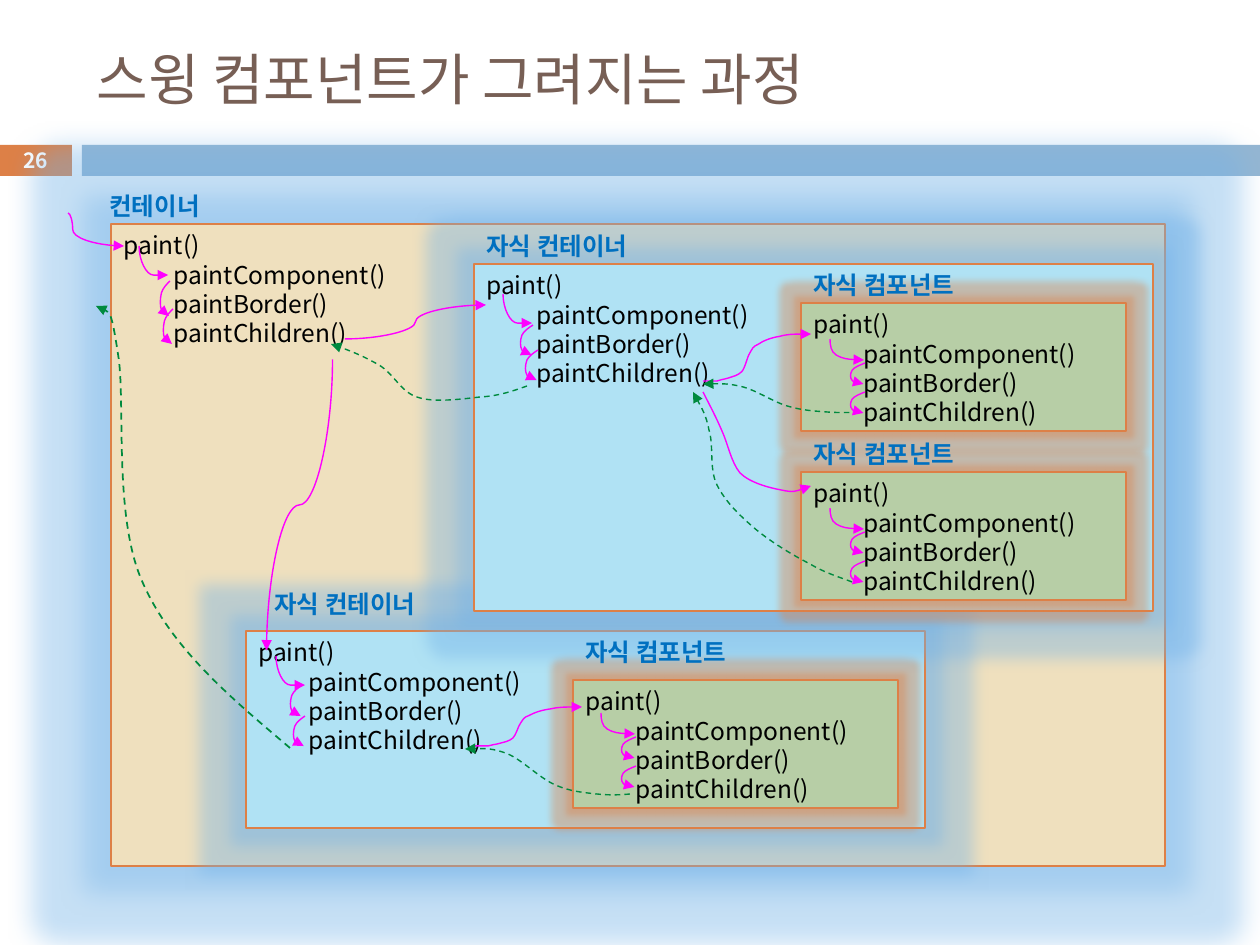
"""Builds the slide that explains the order in which Swing components are painted."""
from lxml.etree import SubElement
from pptx import Presentation
from pptx.dml.color import RGBColor
from pptx.enum.dml import MSO_LINE
from pptx.enum.shapes import MSO_CONNECTOR as Connector, MSO_SHAPE as Shape
from pptx.enum.text import MSO_ANCHOR as Anchor, PP_ALIGN as Align
from pptx.oxml.ns import qn
from pptx.util import Inches, Pt

THEME = {
    "font": "Noto Sans CJK KR",
    "title": {"size": 32, "color": "775F55", "bold": False},
    "code": {"size": 14, "color": "000000", "bold": False},
    "label": {"size": 14, "color": "0070C0", "bold": True},
    "number": {"size": 12, "color": "FFFFFF", "bold": True},
    "accent": "DD8047", "bar": "94B6D2",
    "call": {"color": "FF00FF", "width": 0.79},
    "return": {"color": "008A3E", "width": 0.79, "dash": MSO_LINE.DASH},
    "exit": {"color": "008A3E", "width": 1, "dash": MSO_LINE.DASH},
    "root": {"fill": "EFE0BE", "glow": ("72B2E8", 30)},
    "container": {"fill": "B0E2F4", "glow": ("72B2E8", 18)},
    "component": {"fill": "B7CEA6", "glow": ("DD8047", 8)},
}
TITLE = "스윙 컴포넌트가 그려지는 과정"
NUMBER = "26"
METHODS = ["paint()", "\tpaintComponent()", "\tpaintBorder()", "\tpaintChildren()"]
PANELS = [
    ("root", (111, 224, 1054, 642), "컨테이너", (97, 185, 125, 43)),
    ("container", (246, 631, 679, 197), "자식 컨테이너", (262, 583, 191, 43)),
    ("component", (573, 680, 325, 128), "자식 컴포넌트", (573, 631, 183, 43)),
    ("container", (474, 264, 679, 347), "자식 컨테이너", (474, 225, 191, 43)),
    ("component", (801, 303, 325, 128), "자식 컴포넌트", (801, 264, 183, 43)),
    ("component", (801, 472, 325, 128), "자식 컴포넌트", (801, 433, 183, 43)),
]

HOOK = [(0, 0), (0, .29), (.03, .62), (.18, .76), (.38, .95), (.68, 1), (1, 1)]
STEP = [(0, 0), (.35, .1), (.7, .2), (.85, .34), (1, .52), (1, .71), (.85, .83),
        (.7, .95), (.27, .96), (.1, 1)]
CALL = [(0, 0), (.03, 0), (.08, 0), (.13, 0), (.16, .03), (.19, .03), (.23, .06),
        (.28, .1), (.32, .11), (.36, .2), (.39, .28), (.41, .51), (.43, .58),
        (.46, .7), (.46, .73), (.51, .78), (.56, .86), (.63, .92), (.71, .95),
        (.79, 1), (.9, 1), (1, 1)]
RETURN = [(0, 0), (.06, -.02), (.12, -.03), (.2, 0), (.27, .03), (.36, .05), (.45, .2),
          (.54, .33), (.65, .75), (.74, .89), (.83, 1.02), (.92, 1.02), (1, 1)]
CALL_DOWN = [(703, 392), (709, 404), (716, 417), (722, 431), (728, 444), (731, 462),
             (740, 473), (750, 483), (770, 488), (781, 490), (794, 493), (803, 489),
             (811, 486)]
RETURN_UP = [(852, 582), (839, 577), (825, 573), (810, 564), (794, 556), (769, 541),
             (753, 527), (738, 514), (725, 501), (717, 485), (709, 469), (714, 446),
             (709, 430), (706, 415), (699, 403), (693, 392)]
RETURN_ROOT = [(527, 386), (513, 391), (499, 396), (480, 397), (462, 399), (433, 403),
               (417, 397), (401, 392), (394, 374), (379, 365), (365, 357), (349, 350),
               (331, 344)]
EXIT = [(290, 748), (231, 698), (171, 648), (142, 581), (113, 515), (126, 399),
        (118, 354), (111, 307), (103, 307), (96, 306)]

COMPONENT_HOOKS = [(830, 339), (830, 508), (601, 713)]
CONTAINER_HOOKS = [(139, 246), (503, 294), (276, 656)]
CONTAINER_STEPS = [((170, 281), (-10, 35)), ((173, 309), (-10, 35)),
                   ((533, 325), (-13, 30)), ((538, 350), (-13, 30)),
                   ((302, 685), (-12, 31)), ((305, 716), (-12, 30))]
CONNECTORS = [
    ((345, 339), (486, 305), {}, 50000),
    ((154, 472), (445, 538), {"rot": "5400000"}, 50000),
    ((68, 213), (124, 246), {}, 8500),
] + [((x, y), (x + 29, y + 29), {"rot": "16200000", "flipH": "1"}, 100200)
     for x, y in CONTAINER_HOOKS]
CURVES = [
    ("call", CALL, (703, 381), (108, -47)),
    ("call", CALL, (474, 746), (108, -39)),
    ("call", CALL_DOWN, (0, 0), (1, 1)),
    ("return", RETURN, (859, 412), (-156, -28)),
    ("return", RETURN, (630, 794), (-165, -45)),
    ("return", RETURN_UP, (0, 0), (1, 1)),
    ("return", RETURN_ROOT, (0, 0), (1, 1)),
    ("exit", EXIT, (0, 0), (1, 1)),
] + [("call", STEP, start, size) for start, size in CONTAINER_STEPS]
for left, top in COMPONENT_HOOKS:
    CURVES.append(("call", HOOK, (left, top), (34, 21)))
    CURVES += [("call", STEP, (left + 35, top + drop), (-15, 21)) for drop in (24, 53)]


def px(value):
    return round(value * Inches(1) / 126)


def rgb(code):
    return RGBColor.from_string(code)


def write(shape, lines, style, align=Align.LEFT, **frame_format):
    frame = shape.text_frame
    for name, value in frame_format.items():
        setattr(frame, name, value)
    for index, line in enumerate(lines):
        para = frame.paragraphs[0] if index == 0 else frame.add_paragraph()
        para.alignment = align
        span = para.add_run()
        span.text = line
        values = {"name": THEME["font"], "size": Pt(style["size"]), "bold": style["bold"]}
        for name, value in values.items():
            setattr(span.font, name, value)
        span.font.color.rgb = rgb(style["color"])
        SubElement(span.font._element, qn("a:ea"), typeface=THEME["font"])
    return frame.paragraphs


def add_box(page, bounds, fill, outline=None):
    box = page.shapes.add_shape(Shape.RECTANGLE, *map(px, bounds))
    box.shadow.inherit = False
    box.fill.solid()
    box.fill.fore_color.rgb = rgb(fill)
    if outline:
        box.line.color.rgb = rgb(outline)
        box.line.width = Pt(0.75)
    else:
        box.line.fill.background()
    return box


def add_panel(page, kind, bounds):
    style = THEME[kind]
    box = add_box(page, bounds, style["fill"], THEME["accent"])
    color, radius = style["glow"]
    effects = box._element.spPr.find(qn("a:effectLst"))
    glow = SubElement(effects, qn("a:glow"), rad=str(Pt(radius)))
    tint = SubElement(glow, qn("a:srgbClr"), val=color)
    SubElement(tint, qn("a:alpha"), val="40000")
    for para in write(box, METHODS, THEME["code"], vertical_anchor=Anchor.TOP):
        para.line_spacing = Pt(16.8)
        tabs = SubElement(para._p.get_or_add_pPr(), qn("a:tabLst"))
        SubElement(tabs, qn("a:tab"), pos=str(px(50)), algn="l")


def style_arrow(line, style):
    line.color.rgb = rgb(style["color"])
    line.width = Pt(style["width"])
    if "dash" in style:
        line.dash_style = style["dash"]
    SubElement(line._get_or_add_ln(), qn("a:tailEnd"), type="triangle")


def add_curve(page, kind, outline, start, size):
    points = [tuple(px(s + u * d) for s, u, d in zip(start, point, size)) for point in outline]
    builder = page.shapes.build_freeform(*points[0], scale=1.0)
    builder.add_line_segments(points[1:], close=False)
    curve = builder.convert_to_shape()
    curve.shadow.inherit = False
    curve.fill.background()
    style_arrow(curve.line, THEME[kind])
    route = curve._element.xpath(".//a:path")[0]
    segments = route.findall(qn("a:lnTo"))
    for index in range(0, len(segments), 3):
        bend = SubElement(route, qn("a:cubicBezTo"))
        for segment in segments[index:index + 3]:
            bend.append(segment[0])
            route.remove(segment)


def add_link(page, start, end, turn, bend):
    link = page.shapes.add_connector(Connector.CURVE, *map(px, start + end))
    style_arrow(link.line, THEME["call"])
    properties = link._element.spPr
    SubElement(properties, qn("a:effectLst"))
    for name, value in turn.items():
        properties.find(qn("a:xfrm")).set(name, value)
    guides = properties.find(qn("a:prstGeom")).find(qn("a:avLst"))
    SubElement(guides, qn("a:gd"), name="adj1", fmla=f"val {bend}")


def main():
    deck = Presentation()
    deck.slide_width, deck.slide_height = Inches(10), Inches(7.5)
    page = deck.slides.add_slide(deck.slide_layouts[5])
    title = page.shapes.title
    for name, value in zip(("left", "top", "width", "height"), (84, 32, 1124, 93)):
        setattr(title, name, px(value))
    write(title, [TITLE], THEME["title"], vertical_anchor=Anchor.MIDDLE)
    badge = add_box(page, (-1, 145, 73, 31), THEME["accent"])
    write(badge, [NUMBER], THEME["number"], Align.CENTER, vertical_anchor=Anchor.MIDDLE,
          margin_top=0, margin_bottom=0)
    add_box(page, (82, 145, 1178, 31), THEME["bar"])
    for kind, bounds, _, _ in PANELS:
        add_panel(page, kind, bounds)
    for link in CONNECTORS:
        add_link(page, *link)
    for curve in CURVES:
        add_curve(page, *curve)
    for _, _, label, bounds in PANELS:
        box = page.shapes.add_textbox(*map(px, bounds))
        write(box, [label], THEME["label"], word_wrap=False)
    deck.save("out.pptx")


if __name__ == "__main__":
    main()
